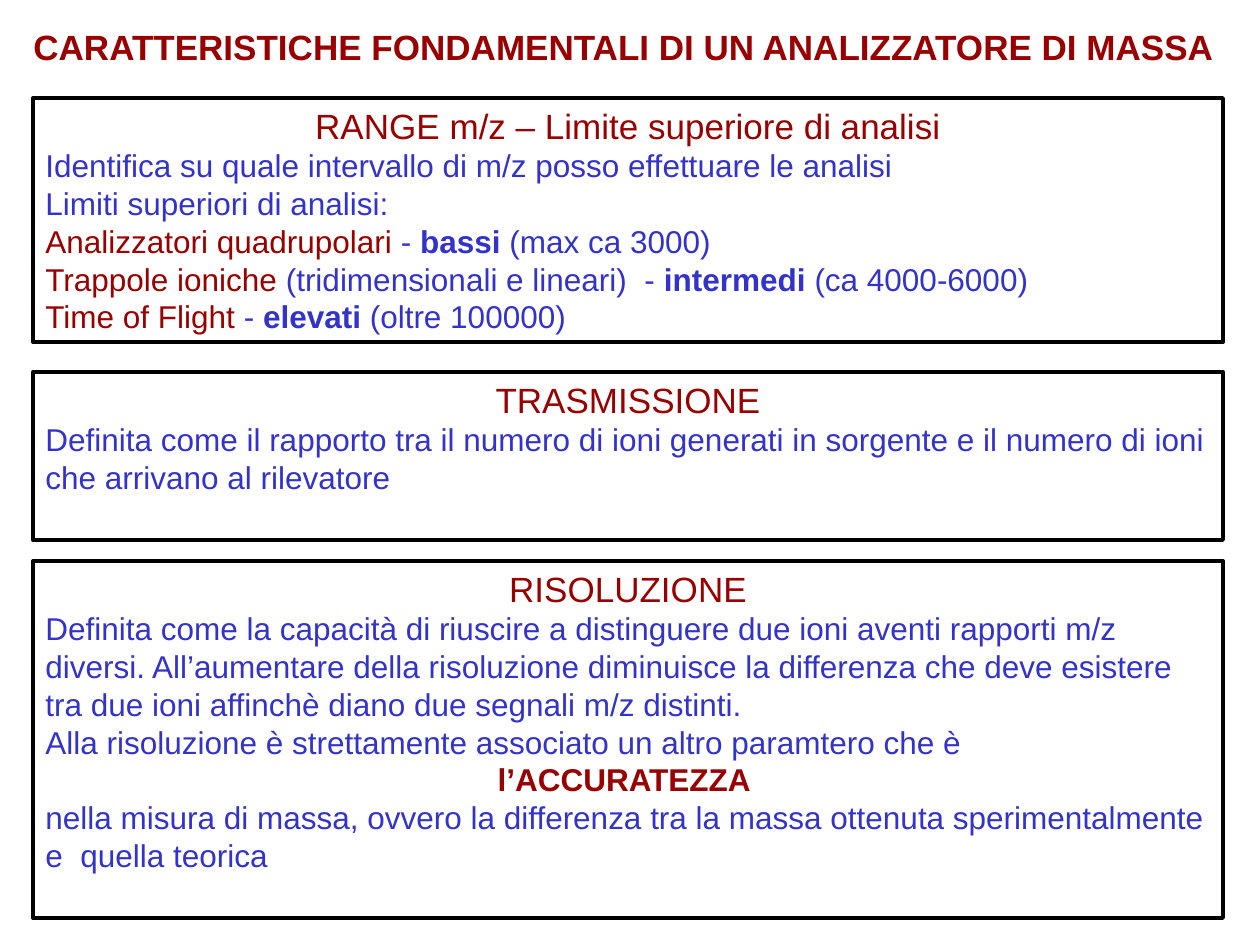
"""Build the slide on the key characteristics of a mass analyser."""
from dataclasses import dataclass

from pptx import Presentation
from pptx import util as u
from pptx.dml.color import RGBColor
from pptx.enum import shapes, text

PX = 914400 / 126


@dataclass(frozen=True)
class Theme:
    font: str = "Arial"
    red: str = "990000"
    blue: str = "3333CC"
    black: str = "000000"
    heading: int = 20
    body: int = 18
    border: float = 2.25


def px(length):
    return u.Emu(round(length * PX))


class PageBuilder:
    def __init__(self, page, theme):
        self.page = page
        self.theme = theme

    def format_frame(self, frame, wrap):
        values = {
            "word_wrap": wrap,
            "auto_size": text.MSO_AUTO_SIZE.NONE,
            "vertical_anchor": text.MSO_ANCHOR.TOP,
            "margin_left": u.Inches(0.1),
            "margin_right": u.Inches(0.1),
            "margin_top": u.Inches(0.05),
            "margin_bottom": u.Inches(0.05),
        }
        for name, value in values.items():
            setattr(frame, name, value)

    def span(self, para, words, color, size, bold=False):
        span = para.add_run()
        span.text = words
        values = {"name": self.theme.font, "size": u.Pt(size), "bold": bold}
        for name, value in values.items():
            setattr(span.font, name, value)
        span.font.color.rgb = RGBColor.from_string(color)

    def title(self, words, left, top, width, height):
        box = self.page.shapes.add_textbox(*map(px, (left, top, width, height)))
        self.format_frame(box.text_frame, wrap=False)
        para = box.text_frame.paragraphs[0]
        self.span(para, words, self.theme.red, self.theme.heading, bold=True)

    def panel(self, heading, lines, left, top, width, height):
        box = self.page.shapes.add_shape(
            shapes.MSO_SHAPE.RECTANGLE, *map(px, (left, top, width, height)))
        box.shadow.inherit = False
        box.fill.background()
        box.line.color.rgb = RGBColor.from_string(self.theme.black)
        box.line.width = u.Pt(self.theme.border)
        frame = box.text_frame
        self.format_frame(frame, wrap=True)
        para = frame.paragraphs[0]
        para.alignment = text.PP_ALIGN.CENTER
        self.span(para, heading, self.theme.red, self.theme.heading)
        for align, spans in lines:
            para = frame.add_paragraph()
            para.alignment = align
            for words, color, bold in spans:
                self.span(para, words, color, self.theme.body, bold)


def main():
    theme = Theme()
    left, center = text.PP_ALIGN.LEFT, text.PP_ALIGN.CENTER

    def plain(words):
        return left, [(words, theme.blue, False)]

    def limit(analyser, link, level, value):
        return left, [(analyser, theme.red, False), (link, theme.blue, False),
                      (level, theme.blue, True), (value, theme.blue, False)]

    panels = [
        (98, 244, "RANGE m/z – Limite superiore di analisi", [
            plain("Identifica su quale intervallo di m/z posso effettuare le analisi"),
            plain("Limiti superiori di analisi:"),
            limit("Analizzatori quadrupolari", " - ", "bassi", " (max ca 3000)"),
            limit("Trappole ioniche", " (tridimensionali e lineari)  - ",
                  "intermedi ", "(ca 4000-6000)"),
            limit("Time of Flight", " - ", "elevati", " (oltre 100000)"),
        ]),
        (372, 168, "TRASMISSIONE", [
            plain("Definita come il rapporto tra il numero di ioni generati in "
                  "sorgente e il numero di ioni che arrivano al rilevatore"),
        ]),
        (561, 357, "RISOLUZIONE", [
            plain("Definita come la capacità di riuscire a distinguere due ioni "
                  "aventi rapporti m/z diversi. All’aumentare della risoluzione "
                  "diminuisce la differenza che deve esistere tra due ioni "
                  "affinchè diano due segnali m/z distinti."),
            plain("Alla risoluzione è strettamente associato un altro paramtero che è"),
            (center, [("l’ACCURATEZZA ", theme.red, True)]),
            plain("nella misura di massa, ovvero la differenza tra la massa "
                  "ottenuta sperimentalmente e  quella teorica"),
        ]),
    ]

    deck = Presentation()
    deck.slide_width, deck.slide_height = px(1260), px(945)
    page = deck.slides.add_slide(deck.slide_layouts[6])
    builder = PageBuilder(page, theme)
    builder.title("CARATTERISTICHE FONDAMENTALI DI UN ANALIZZATORE DI MASSA",
                  21, 19, 1215, 55)
    for top, height, heading, lines in panels:
        builder.panel(heading, lines, 33, top, 1190, height)
    deck.save("out.pptx")


if __name__ == "__main__":
    main()
